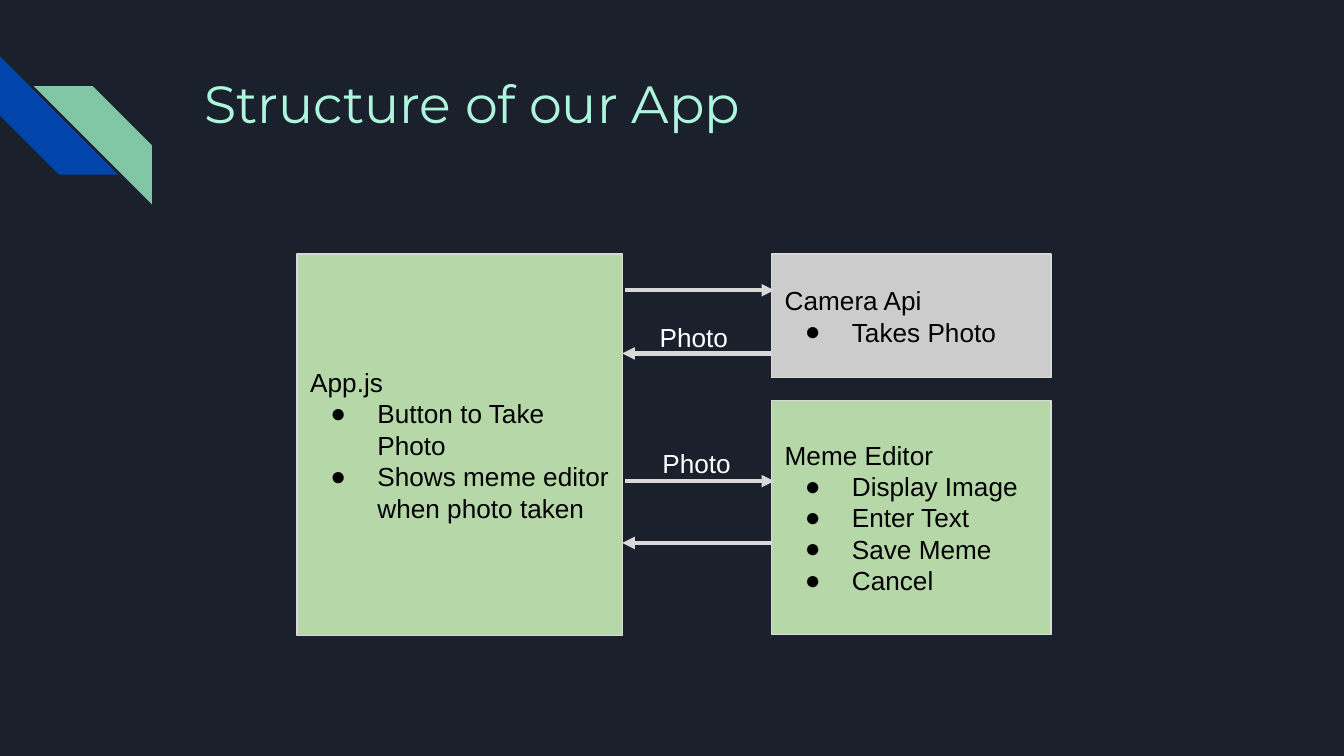
from lxml import etree
from pptx import Presentation
from pptx.dml.color import RGBColor
from pptx.enum.shapes import MSO_CONNECTOR, MSO_SHAPE
from pptx.enum.text import MSO_ANCHOR, MSO_AUTO_SIZE, PP_ALIGN
from pptx.oxml.ns import qn
from pptx.util import Inches, Pt

COLORS = {
    "background": "1B212C",
    "blue": "0145AC",
    "mint": "82C7A5",
    "title": "ADF5DD",
    "green": "B6D7A8",
    "gray": "CCCCCC",
    "line": "D9D9D9",
    "black": "000000",
    "white": "FFFFFF",
}


def rgb(name):
    return RGBColor.from_string(COLORS[name])


def format_text(paragraph, color, size=14, font="Arial"):
    paragraph.alignment = PP_ALIGN.LEFT
    paragraph.font.size = Pt(size)
    paragraph.font.name = font
    paragraph.font.color.rgb = rgb(color)


prs = Presentation()
prs.slide_width = Inches(10)
prs.slide_height = Inches(10) * 9 // 16
slide = prs.slides.add_slide(prs.slide_layouts[5])
slide.background.fill.solid()
slide.background.fill.fore_color.rgb = rgb("background")

# Corner stripes
for left, top, rotation, color in [(0, 0.42, 270, "blue"), (0.25, 0.64, 90, "mint")]:
    stripe = slide.shapes.add_shape(
        MSO_SHAPE.DIAGONAL_STRIPE, Inches(left), Inches(top), Inches(0.88), Inches(0.88))
    stripe.rotation = rotation
    stripe.shadow.inherit = False
    stripe.fill.solid()
    stripe.fill.fore_color.rgb = rgb(color)
    stripe.line.fill.background()

# Title
title = slide.shapes.title
title.left, title.top = Inches(1.42), Inches(0.43)
title.width, title.height = Inches(7.7), Inches(1)
heading = title.text_frame
heading.text = "Structure of our App"
heading.auto_size = MSO_AUTO_SIZE.NONE
heading.vertical_anchor = MSO_ANCHOR.TOP
heading.margin_left = heading.margin_right = Inches(0.1)
heading.margin_top = heading.margin_bottom = Inches(0.1)
format_text(heading.paragraphs[0], "title", 28, "Montserrat")

# Components of the app
components = [
    (2.21, 1.89, 2.42, 2.84, "green", "App.js",
     ["Button to Take Photo", "Shows meme editor when photo taken"]),
    (5.74, 1.89, 2.08, 0.92, "gray", "Camera Api", ["Takes Photo"]),
    (5.74, 2.98, 2.08, 1.74, "green", "Meme Editor",
     ["Display Image", "Enter Text", "Save Meme", "Cancel"]),
]
for left, top, width, height, color, name, duties in components:
    component = slide.shapes.add_shape(
        MSO_SHAPE.RECTANGLE, Inches(left), Inches(top), Inches(width), Inches(height))
    component.shadow.inherit = False
    component.fill.solid()
    component.fill.fore_color.rgb = rgb(color)
    component.line.color.rgb = rgb("line")
    component.line.width = Pt(0.75)
    frame = component.text_frame
    frame.word_wrap = True
    frame.vertical_anchor = MSO_ANCHOR.MIDDLE
    frame.margin_left = frame.margin_right = Inches(0.1)
    frame.margin_top = frame.margin_bottom = Inches(0.1)
    frame.text = name
    format_text(frame.paragraphs[0], "black")
    for duty in duties:
        item = frame.add_paragraph()
        item.text = duty
        props = item._p.get_or_add_pPr()
        props.set("marL", str(Inches(0.5)))
        props.set("indent", str(Inches(-0.35)))
        bullet_color = etree.SubElement(props, qn("a:buClr"))
        etree.SubElement(bullet_color, qn("a:srgbClr"), val=COLORS["black"])
        etree.SubElement(props, qn("a:buFont"), typeface="Arial")
        etree.SubElement(props, qn("a:buChar"), char="●")
        format_text(item, "black")

# Calls to each component and returns to App.js
for start, end, y in [(4.65, 5.76, 2.16), (5.74, 4.63, 2.63),
                      (4.65, 5.76, 3.58), (5.74, 4.63, 4.04)]:
    arrow = slide.shapes.add_connector(
        MSO_CONNECTOR.STRAIGHT, Inches(start), Inches(y), Inches(end), Inches(y))
    arrow.line.color.rgb = rgb("line")
    arrow.line.width = Pt(2.25)
    etree.SubElement(arrow.line._get_or_add_ln(), qn("a:tailEnd"), type="triangle")
    etree.SubElement(arrow._element.spPr, qn("a:effectLst"))

# Data carried by the arrows
for left, top in [(4.81, 2.29), (4.83, 3.23)]:
    label = slide.shapes.add_textbox(
        Inches(left), Inches(top), Inches(0.89), Inches(0.32)).text_frame
    label.word_wrap = True
    label.margin_left = label.margin_right = Inches(0.1)
    label.margin_top = label.margin_bottom = Inches(0.1)
    label.text = "Photo"
    format_text(label.paragraphs[0], "white")

prs.save("out.pptx")
